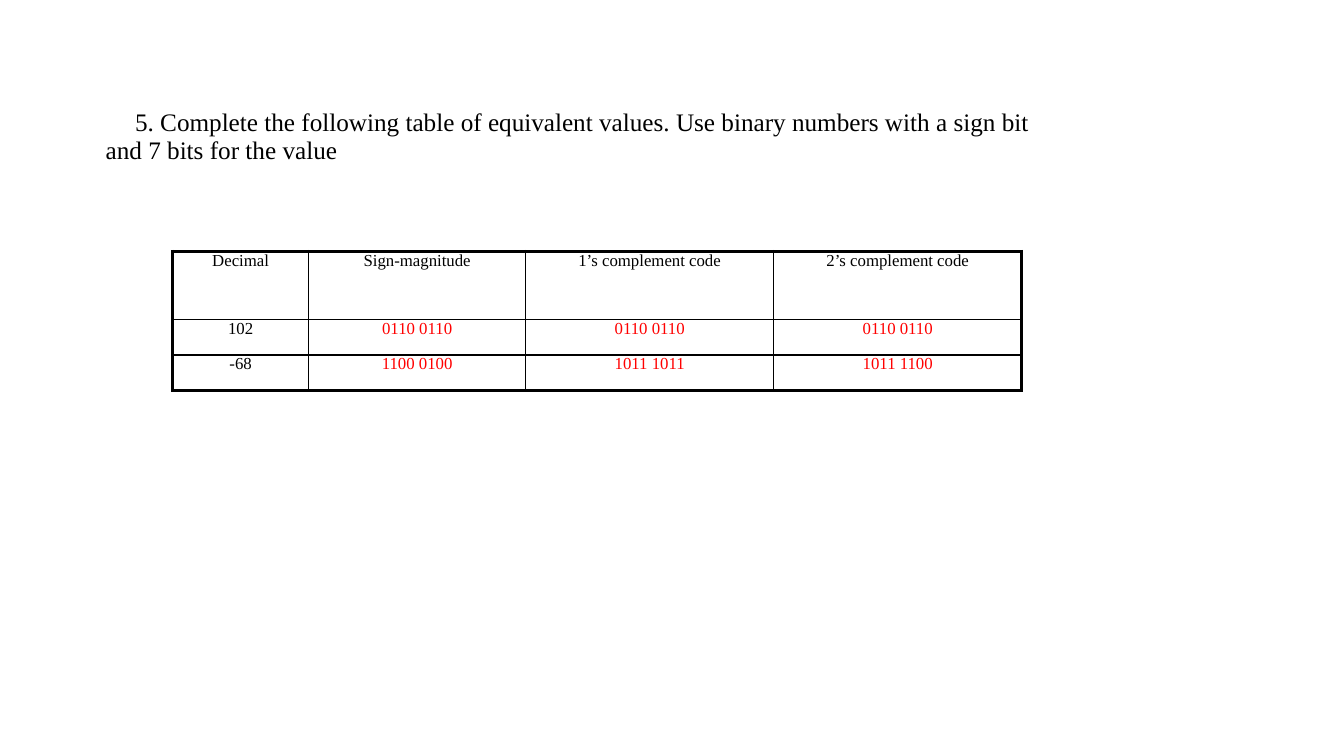
"""Build a slide with a binary-code exercise and its table of equivalent values."""
import pptx
import pptx.dml.color
import pptx.enum.text
import pptx.oxml
import pptx.oxml.ns
import pptx.util

Pt = pptx.util.Pt
ALIGN = pptx.enum.text.PP_ALIGN

QUESTION = ("5. Complete the following table of equivalent values. "
            "Use binary numbers with a sign bit and 7 bits for the value")
CODES = [
    ("Decimal", "Sign-magnitude", "1’s complement code", "2’s complement code"),
    ("102", "0110 0110", "0110 0110", "0110 0110"),
    ("-68", "1100 0100", "1011 1011", "1011 1100"),
]

THEME = {
    "font": "Times New Roman", "ink": "000000", "answer": "FF0000",
    "question_size": 18, "table_size": 12, "frame": 2.25, "grid": 1,
}
SLIDE_SIZE = (960, 540)
QUESTION_BOX = (68.4, 74.2, 691.2, 47.5)
TABLE_ORIGIN = (123.3, 179.4)
COLUMN_WIDTHS = (97.2, 155, 177.2, 177.2)
ROW_HEIGHTS = (49, 25.2, 25.2)
CELL_INSET = 5.4


def write(frame, text, size, color=THEME["ink"], align=ALIGN.LEFT,
          first_indent=0, line_spacing=None, space_after=0):
    paragraph = frame.paragraphs[0]
    paragraph.alignment = align
    paragraph.space_after = Pt(space_after)
    if line_spacing:
        paragraph.line_spacing = Pt(line_spacing)
    if first_indent:
        paragraph._p.get_or_add_pPr().set("indent", str(Pt(first_indent)))
    run = paragraph.add_run()
    run.text = text
    run.font.name = THEME["font"]
    run.font.size = Pt(size)
    run.font.bold = False
    run.font.color.rgb = pptx.dml.color.RGBColor.from_string(color)


def set_borders(cell, widths):
    properties = cell._tc.get_or_add_tcPr()
    for side, width in widths.items():
        properties.append(pptx.oxml.parse_xml(
            f'<a:ln{side} {pptx.oxml.ns.nsdecls("a")} w="{Pt(width)}">'
            f'<a:solidFill><a:srgbClr val="{THEME["ink"]}"/></a:solidFill>'
            f'</a:ln{side}>'))


def add_question(slide):
    frame = slide.shapes.add_textbox(*map(Pt, QUESTION_BOX)).text_frame
    frame.word_wrap = True
    write(frame, QUESTION, THEME["question_size"],
          first_indent=21, line_spacing=20, space_after=6)


def add_codes(slide):
    last_row, last_column = len(ROW_HEIGHTS) - 1, len(COLUMN_WIDTHS) - 1
    extent = (sum(COLUMN_WIDTHS), sum(ROW_HEIGHTS))
    codes = slide.shapes.add_table(
        last_row + 1, last_column + 1, *map(Pt, TABLE_ORIGIN + extent)).table
    codes.first_row = codes.horz_banding = False
    for column, width in zip(codes.columns, COLUMN_WIDTHS):
        column.width = Pt(width)
    for row, height in zip(codes.rows, ROW_HEIGHTS):
        row.height = Pt(height)
    for r, values in enumerate(CODES):
        for c, value in enumerate(values):
            cell = codes.cell(r, c)
            cell.margin_left = cell.margin_right = Pt(CELL_INSET)
            cell.margin_top = cell.margin_bottom = 0
            outer = {"L": c == 0, "R": c == last_column,
                     "T": r == 0, "B": r == last_row}
            set_borders(cell, {side: THEME["frame" if edge else "grid"]
                               for side, edge in outer.items()})
            cell.fill.background()
            write(cell.text_frame, value, THEME["table_size"],
                  color=THEME["answer" if r and c else "ink"],
                  align=ALIGN.CENTER)


def main():
    deck = pptx.Presentation()
    deck.slide_width, deck.slide_height = map(Pt, SLIDE_SIZE)
    slide = deck.slides.add_slide(deck.slide_layouts[6])
    add_question(slide)
    add_codes(slide)
    deck.save("out.pptx")


if __name__ == "__main__":
    main()
